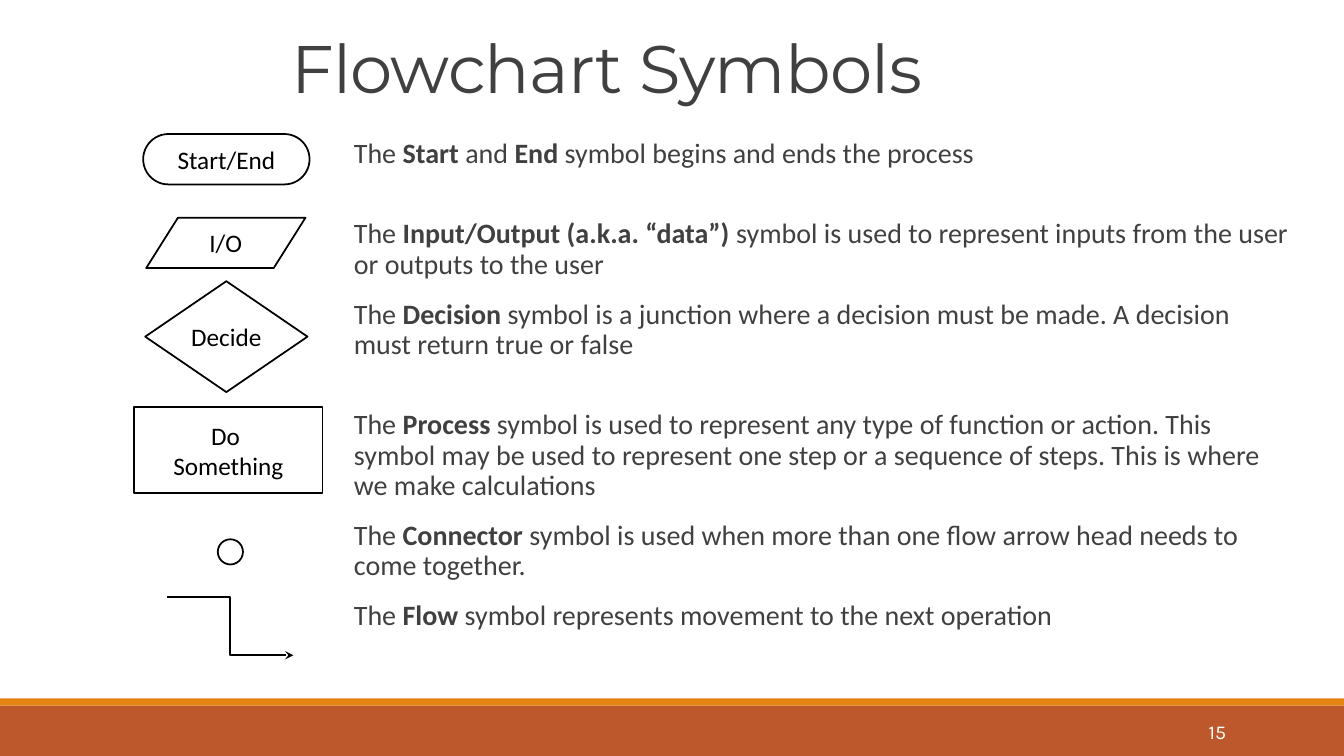
import dataclasses

import pptx
import pptx.dml.color
import pptx.enum.shapes
import pptx.enum.text
import pptx.oxml.ns
import pptx.util
from lxml import etree

Inches = pptx.util.Inches
Pt = pptx.util.Pt
Shape = pptx.enum.shapes.MSO_SHAPE
Align = pptx.enum.text.PP_ALIGN
Anchor = pptx.enum.text.MSO_ANCHOR
qn = pptx.oxml.ns.qn


@dataclasses.dataclass(frozen=True)
class Theme:
    ink: str = "404040"
    black: str = "000000"
    white: str = "FFFFFF"
    rust: str = "BD582C"
    orange: str = "E48312"
    title_font: str = "Montserrat"
    body_font: str = "Calibri"
    number_font: str = "Karla"
    title_size: float = 48
    body_size: float = 20
    label_size: float = 18
    number_size: float = 14
    line_width: float = 1.25


def rgb(color):
    return pptx.dml.color.RGBColor.from_string(color)


def add_text(paragraph, text, *, font, size, color, bold=False, tracking=None):
    run = paragraph.add_run()
    run.text = text
    run.font.name = font
    run.font.size = Pt(size)
    run.font.bold = bold
    run.font.color.rgb = rgb(color)
    if tracking is not None:
        run.font._element.set("spc", str(int(tracking * 100)))
    return run


class SlideBuilder:
    def __init__(self, slide, theme):
        self.slide = slide
        self.theme = theme

    @staticmethod
    def place(shape, left, top, width, height):
        shape.left, shape.top = Inches(left), Inches(top)
        shape.width, shape.height = Inches(width), Inches(height)

    def bar(self, top, height, color):
        shape = self.slide.shapes.add_shape(
            Shape.RECTANGLE, 0, Inches(top), Inches(13.33), Inches(height))
        shape.shadow.inherit = False
        shape.fill.solid()
        shape.fill.fore_color.rgb = rgb(color)
        shape.line.fill.background()

    def title(self, text, box):
        theme = self.theme
        shape = self.slide.shapes.title
        self.place(shape, *box)
        frame = shape.text_frame
        frame.auto_size = pptx.enum.text.MSO_AUTO_SIZE.NONE
        frame.vertical_anchor = Anchor.BOTTOM
        paragraph = frame.paragraphs[0]
        paragraph.alignment = Align.LEFT
        paragraph.line_spacing = 0.85
        add_text(paragraph, text, font=theme.title_font, size=theme.title_size,
                 color=theme.ink, tracking=-0.5)

    def descriptions(self, entries, box):
        """Each entry is (space before, text); ** encloses bold words."""
        theme = self.theme
        shape = self.slide.placeholders[1]
        self.place(shape, *box)
        frame = shape.text_frame
        frame.auto_size = pptx.enum.text.MSO_AUTO_SIZE.NONE
        frame.vertical_anchor = Anchor.TOP
        frame.margin_left = frame.margin_right = 0
        for index, (space_before, text) in enumerate(entries):
            paragraph = frame.add_paragraph() if index else frame.paragraphs[0]
            paragraph.line_spacing = 0.9
            paragraph.space_before = Pt(space_before)
            paragraph.space_after = Pt(2)
            properties = paragraph._p.get_or_add_pPr()
            properties.set("marL", str(Inches(0.1)))
            properties.set("indent", "0")
            etree.SubElement(properties, qn("a:buNone"))
            for position, part in enumerate(text.split("**")):
                add_text(paragraph, part, font=theme.body_font, size=theme.body_size,
                         color=theme.ink, bold=position % 2 == 1)

    def symbol(self, kind, box, lines=(), adjustment=None, wrap=False):
        theme = self.theme
        shape = self.slide.shapes.add_shape(kind, *map(Inches, box))
        shape.shadow.inherit = False
        shape.fill.background()
        shape.line.color.rgb = rgb(theme.black)
        shape.line.width = Pt(theme.line_width)
        if adjustment is not None:
            shape.adjustments[0] = adjustment
        frame = shape.text_frame
        frame.word_wrap = wrap
        frame.vertical_anchor = Anchor.MIDDLE
        for index, line in enumerate(lines):
            paragraph = frame.add_paragraph() if index else frame.paragraphs[0]
            paragraph.alignment = Align.CENTER
            add_text(paragraph, line, font=theme.body_font, size=theme.label_size,
                     color=theme.black)

    def flow_arrow(self, start, end):
        connector = self.slide.shapes.add_connector(
            pptx.enum.shapes.MSO_CONNECTOR.ELBOW, *map(Inches, start + end))
        connector.line.color.rgb = rgb(self.theme.black)
        connector.line.width = Pt(self.theme.line_width)
        line = connector.line._get_or_add_ln()
        etree.SubElement(line, qn("a:tailEnd"), type="stealth")
        etree.SubElement(connector._element.spPr, qn("a:effectLst"))

    def page_number(self, text, box):
        theme = self.theme
        frame = self.slide.shapes.add_textbox(*map(Inches, box)).text_frame
        frame.word_wrap = True
        frame.vertical_anchor = Anchor.MIDDLE
        paragraph = frame.paragraphs[0]
        paragraph.alignment = Align.RIGHT
        add_text(paragraph, text, font=theme.number_font, size=theme.number_size,
                 color=theme.white)


# Space before a paragraph: normal, or one text line more
NEAR, FAR = 12, 34
DESCRIPTIONS = [
    (0, "The **Start **and **End **symbol begins and ends the process"),
    (FAR, "The **Input/Output (a.k.a. “data”) **symbol is used to represent "
          "inputs from the user or outputs to the user"),
    (NEAR, "The **Decision **symbol is a junction where a decision must be made. "
           "A decision must return true or false"),
    (FAR, "The **Process **symbol is used to represent any type of function or "
          "action. This symbol may be used to represent one step or a sequence "
          "of steps. This is where we make calculations"),
    (NEAR, "The **Connector **symbol is used when more than one flow arrow head "
           "needs to come together."),
    (NEAR, "The **Flow **symbol represents movement to the next operation"),
]


def main():
    presentation = pptx.Presentation()
    presentation.slide_width = Inches(13.33)
    presentation.slide_height = Inches(7.5)
    slide = presentation.slides.add_slide(presentation.slide_layouts[1])
    theme = Theme()
    builder = SlideBuilder(slide, theme)

    # Footer
    builder.bar(7, 0.5, theme.rust)
    builder.bar(6.93, 0.07, theme.orange)
    builder.page_number("15", (10.83, 7.06, 1.43, 0.4))

    # Title and descriptions
    builder.title("Flowchart Symbols", (2.79, 0.36, 8.08, 0.75))
    builder.descriptions(DESCRIPTIONS, (3.41, 1.33, 9.42, 5.5))

    # Flowchart symbols
    builder.symbol(Shape.ROUNDED_RECTANGLE, (1.42, 1.33, 1.65, 0.5),
                   ["Start/End"], adjustment=0.5)
    builder.symbol(Shape.PARALLELOGRAM, (1.45, 2.16, 1.58, 0.5),
                   ["I/O"], adjustment=0.63, wrap=True)
    builder.symbol(Shape.DIAMOND, (1.44, 2.79, 1.61, 1.1), ["Decide"])
    builder.symbol(Shape.RECTANGLE, (1.33, 4.04, 1.87, 0.85), ["Do ", "Something"])
    builder.symbol(Shape.OVAL, (2.16, 5.35, 0.25, 0.25))
    builder.flow_arrow((1.66, 5.92), (2.91, 6.5))

    presentation.save("out.pptx")


if __name__ == "__main__":
    main()
